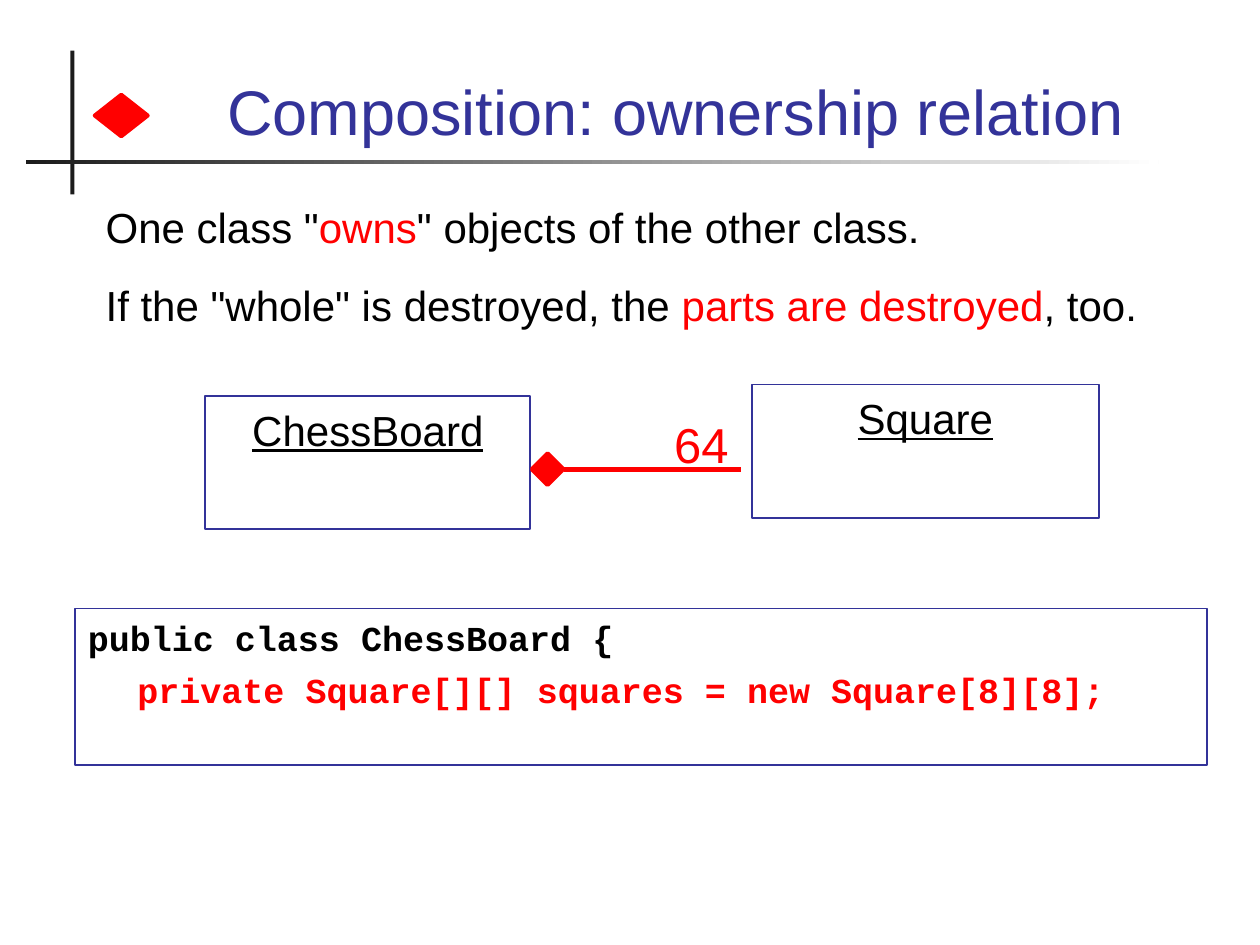
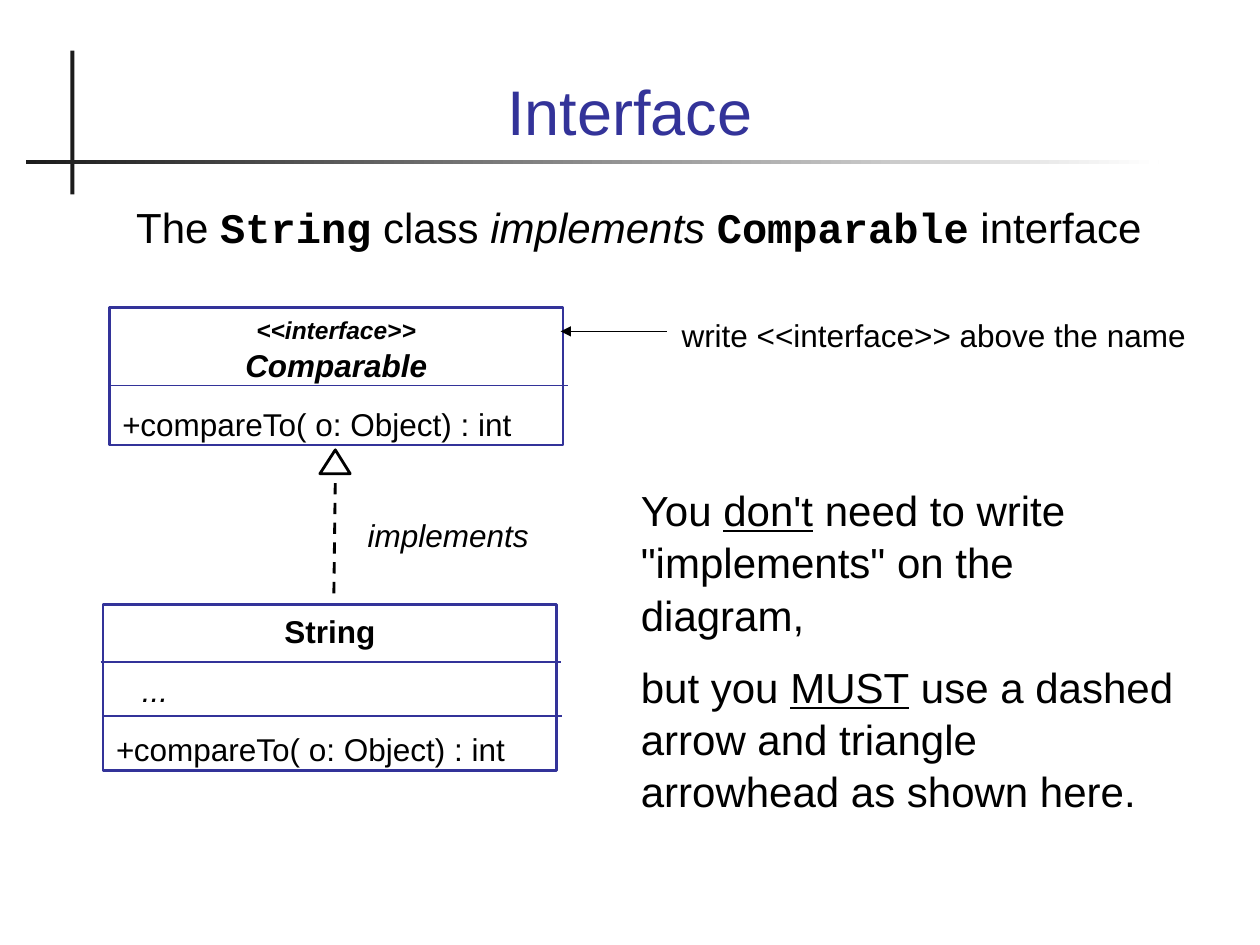
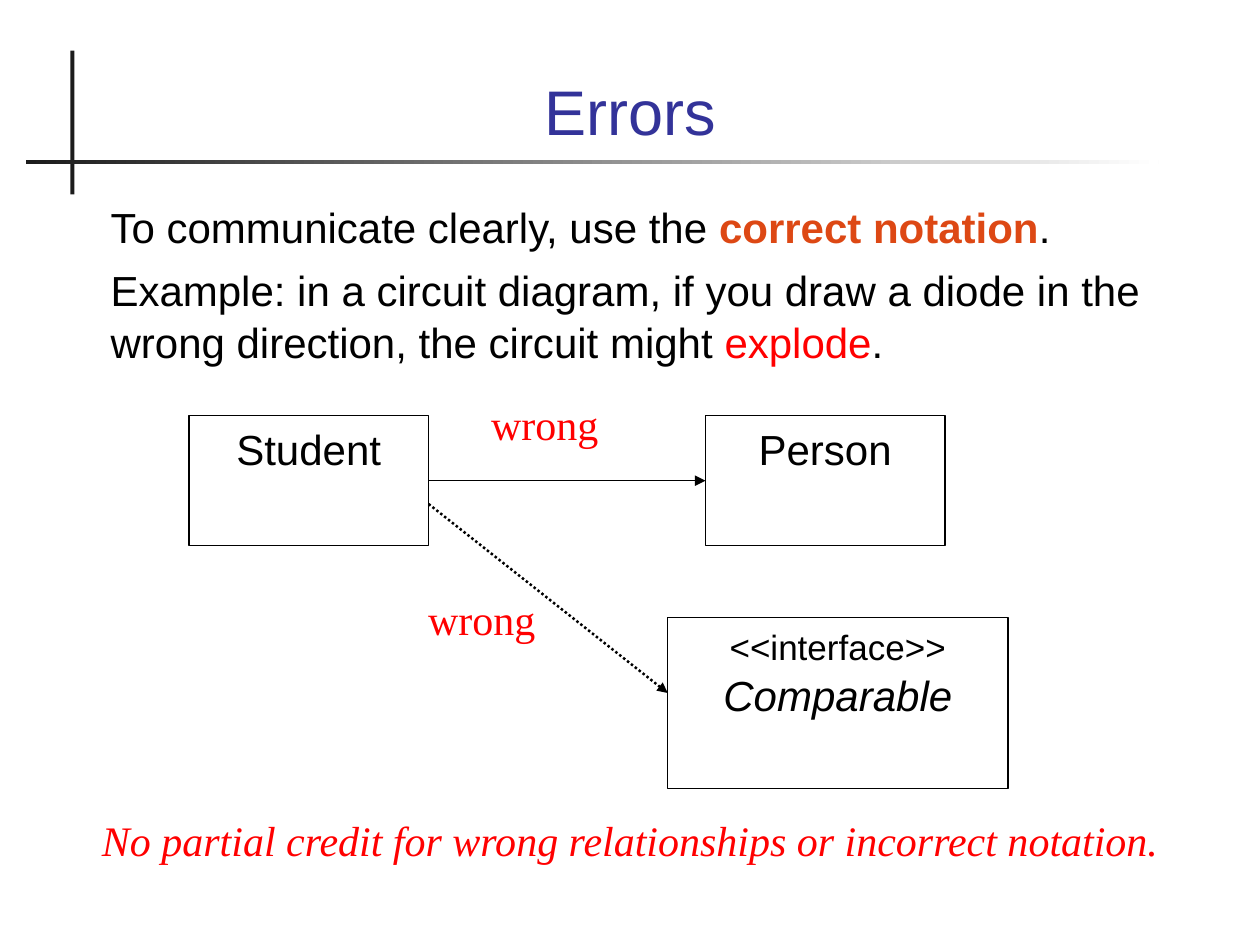
import pptx
import pptx.util
import pptx.dml.color
import pptx.enum.dml
import pptx.enum.shapes
import pptx.enum.text
import pptx.oxml
import pptx.oxml.ns
from pptx.util import Cm

ALIGN = pptx.enum.text.PP_ALIGN
SHAPE = pptx.enum.shapes.MSO_SHAPE
DASH = pptx.enum.dml.MSO_LINE

# Shared style
BLACK, BLUE, RED, ORANGE = "000000", "333399", "FF0000", "DD4814"
BAND_DARK, WHITE = "1C1C1C", "FFFFFF"
SANS, MONO, SERIF = "Arial", "Courier New", "Times New Roman"
LINE_SPACING = 1.04
TITLE_AT = (1.7, 0.71, 22, 2.41)

# Content: a paragraph is a list of spans; a span is text or (text, format)
CODE = dict(font=MONO, bold=True)
UNDERLINE = dict(underline=True)
ITALIC = dict(italic=True)
HOT = dict(color=RED)

OWNERSHIP = [
    ['One class "', ("owns", HOT), '" objects of the other class.'],
    ['If the "whole" is destroyed, the ', ("parts are destroyed", HOT), ", too."],
]
OWNERSHIP_CLASSES = [
    ("ChessBoard", (4.14, 7.98, 6.55, 2.69)),
    ("Square", (15.16, 7.75, 6.99, 2.69)),
]
CHESS_CODE = [
    ["public class ChessBoard {"],
    dict(spans=[("private Square[][] squares = new Square[8][8];", HOT)], indent=1),
]
IMPLEMENTS = [[
    "The ", ("String", CODE), " class ", ("implements ", ITALIC),
    ("Comparable", CODE), " interface",
]]
DIAGRAM_RULE = [
    ["You ", ("don't", UNDERLINE), ' need to write "implements" on the diagram,'],
    ["but you ", ("MUST", UNDERLINE),
     " use a dashed arrow and triangle arrowhead as shown here."],
]
METHOD = "compareTo( o: Object) : int"
BOLD_ITALIC = dict(bold=True, italic=True)
INTERFACE_BOX = [
    dict(spans=[("<<interface>>", dict(size=14, **BOLD_ITALIC))], align=ALIGN.CENTER),
    dict(spans=[("Comparable", BOLD_ITALIC)], align=ALIGN.CENTER, before=0),
    [("+", ITALIC), METHOD],
]
STRING_BOX = [
    dict(spans=[("String", dict(bold=True))], align=ALIGN.CENTER),
    dict(spans=[("...", ITALIC)], indent=0.53),
    [("+", ITALIC), METHOD],
]
# Each class box: text, place, then its dividers as (left, y, right)
CLASS_BOXES = [
    (INTERFACE_BOX, (2.21, 6.2, 9.14, 2.77), [(2.21, 7.77, 11.46)]),
    (STRING_BOX, (2.08, 12.19, 9.14, 3.35), [(2.03, 13.34, 11.3), (2.06, 14.43, 11.33)]),
]
NOTATION = [
    ["To communicate clearly, use the ",
     ("correct notation", dict(color=ORANGE, bold=True)), "."],
    ["Example: in a circuit diagram, if you draw a diode in the wrong direction, "
     "the circuit might ", ("explode", HOT), "."],
]
ERROR_BOXES = [
    ([["Student"]], (3.81, 8.38, 4.83, 2.62)),
    ([["Person"]], (14.22, 8.38, 4.83, 2.62)),
    ([[("<<interface>>", dict(size=20))], [("Comparable", ITALIC)]],
     (13.46, 12.45, 6.86, 3.45)),
]
ERROR_LABELS = [
    ("wrong", (9.65, 7.87, 3.05, 1.45), {}),
    ("wrong", (8.38, 11.79, 3.05, 1.45), {}),
    ("No partial credit for wrong relationships or incorrect notation.",
     (1.02, 16.26, 23.37, 1.45), dict(italic=True, align=ALIGN.CENTER)),
]


def rgb(value):
    return pptx.dml.color.RGBColor.from_string(value)


def add_span(para, text, size=24, font=SANS, color=BLACK, bold=False,
             italic=False, underline=False):
    span = para.add_run()
    span.text = text
    span.font.size = pptx.util.Pt(size)
    span.font.name = font
    span.font.color.rgb = rgb(color)
    span.font.bold, span.font.italic, span.font.underline = bold, italic, underline


def write(box, paragraphs, align=ALIGN.LEFT, before=0.0,
          anchor=pptx.enum.text.MSO_ANCHOR.TOP, **style):
    frame = box.text_frame
    frame.word_wrap = True
    frame.auto_size = pptx.enum.text.MSO_AUTO_SIZE.NONE
    frame.vertical_anchor = anchor
    for index, item in enumerate(paragraphs):
        item = item if isinstance(item, dict) else dict(spans=item)
        para = frame.add_paragraph() if index else frame.paragraphs[0]
        para.alignment = item.get("align", align)
        para.line_spacing = LINE_SPACING
        para.space_before = pptx.util.Pt(item.get("before", before) if index else 0)
        if "indent" in item:
            para._p.get_or_add_pPr().set("marL", str(Cm(item["indent"])))
        for span in item["spans"]:
            text, special = (span, {}) if isinstance(span, str) else span
            add_span(para, text, **{**style, **special})


def add_text(page, paragraphs, at, **style):
    box = page.shapes.add_textbox(*map(Cm, at))
    write(box, paragraphs, **style)
    return box


def add_box(page, at, kind=SHAPE.RECTANGLE, fill=None, line=None, width=1.0):
    box = page.shapes.add_shape(kind, *map(Cm, at))
    box.shadow.inherit = False
    if fill:
        box.fill.solid()
        box.fill.fore_color.rgb = rgb(fill)
    else:
        box.fill.background()
    if line:
        box.line.color.rgb = rgb(line)
        box.line.width = pptx.util.Pt(width)
    else:
        box.line.fill.background()
    return box


def add_line(page, start, end, color=BLACK, width=0.75, dash=None, arrow=False):
    line = page.shapes.add_connector(
        pptx.enum.shapes.MSO_CONNECTOR.STRAIGHT, *map(Cm, (*start, *end)))
    line.line.color.rgb = rgb(color)
    line.line.width = pptx.util.Pt(width)
    if dash:
        line.line.dash_style = dash
    if arrow:
        tail = pptx.oxml.parse_xml(
            '<a:tailEnd %s type="triangle"/>' % pptx.oxml.ns.nsdecls("a"))
        line.line._get_or_add_ln().append(tail)
    line.element.spPr.append(
        pptx.oxml.parse_xml("<a:effectLst %s/>" % pptx.oxml.ns.nsdecls("a")))
    return line


def add_page(deck, title):
    page = deck.slides.add_slide(deck.slide_layouts[5])
    holder = page.shapes.title
    holder.left, holder.top, holder.width, holder.height = map(Cm, TITLE_AT)
    write(holder, [[title]], align=ALIGN.CENTER, size=36, color=BLUE,
          anchor=pptx.enum.text.MSO_ANCHOR.BOTTOM)
    return page


def move_bands_to_layout(page):
    """Draw the crossing bands and hand them to the layout all pages use."""
    upright = add_box(page, (1.42, 1.02, 0.08, 2.9), fill=BAND_DARK)
    rule = add_box(page, (0.53, 3.23, 22.83, 0.08))
    rule.fill.gradient()
    rule.fill.gradient_angle = 0
    for stop, color in zip(rule.fill.gradient_stops, (BAND_DARK, WHITE)):
        stop.color.rgb = rgb(color)
    for band in (upright, rule):
        page.slide_layout.shapes.element.append(band.element)


def build_composition(deck):
    page = add_page(deck, "Composition: ownership relation")
    move_bands_to_layout(page)
    page.shapes.title.width = Cm(22.43)
    page.shapes.title.text_frame.margin_left = Cm(1.66)
    add_text(page, OWNERSHIP, (1.88, 3.89, 22, 3.73), before=15)

    # Class diagram
    for name, at in OWNERSHIP_CLASSES:
        write(add_box(page, at, line=BLUE), [[name]], align=ALIGN.CENTER, underline=True)
    diamonds = [add_box(page, at, SHAPE.DIAMOND, RED, RED, 2.25)
                for at in ((10.72, 9.14, 0.64, 0.64), (1.91, 1.91, 1.07, 0.84))]
    owner_line = add_line(page, (11.36, 9.46), (14.94, 9.46), RED, 3)
    owner_line.begin_connect(diamonds[0], 3)
    add_text(page, [["64"]], (12.83, 8.18, 2.11, 1.45), align=ALIGN.RIGHT,
             size=28, color=RED)

    # Code
    write(add_box(page, (1.52, 12.27, 22.81, 3.15), line=BLUE), CHESS_CODE,
          before=5, size=20, **CODE)


def build_interface(deck):
    page = add_page(deck, "Interface")
    add_text(page, IMPLEMENTS, (1.88, 3.89, 22, 1.47), align=ALIGN.CENTER)

    # Class boxes with their dividers
    for paragraphs, at, dividers in CLASS_BOXES:
        write(add_box(page, at, line=BLUE, width=1.5), paragraphs, before=11.2, size=18)
        for left, y, right in dividers:
            add_line(page, (left, y), (right, y), BLUE, 1)

    # Dashed arrow with a hollow triangle head
    add_line(page, (6.73, 11.96), (6.76, 9.55), width=1.62, dash=DASH.DASH)
    outline = page.shapes.build_freeform(Cm(6.45), Cm(9.55))
    outline.add_line_segments([(Cm(7.06), Cm(9.55)), (Cm(6.76), Cm(9.07))], close=True)
    head = outline.convert_to_shape()
    head.shadow.inherit = False
    head.fill.background()
    head.line.color.rgb = rgb(BLACK)
    head.line.width = pptx.util.Pt(1.62)

    # Remarks
    add_text(page, [["implements"]], (7.16, 10.24, 4, 1.02), size=18, italic=True)
    add_text(page, DIAGRAM_RULE, (12.67, 9.6, 11.46, 6.76), before=11.2)
    add_line(page, (13.44, 6.68), (11.3, 6.68), arrow=True)
    add_text(page, [["write <<interface>> above the name"]],
             (13.49, 6.22, 11.02, 1.02), size=18)


def build_errors(deck):
    page = add_page(deck, "Errors")
    add_text(page, NOTATION, (1.98, 3.89, 22, 4.5), before=6)

    # Class boxes and wrong arrows
    boxes = []
    for paragraphs, at in ERROR_BOXES:
        box = add_box(page, at, line=BLACK, width=0.75)
        write(box, paragraphs, align=ALIGN.CENTER)
        boxes.append(box)
    student, person, _ = boxes
    arrow = add_line(page, (8.64, 9.69), (14.22, 9.69), arrow=True)
    arrow.begin_connect(student, 3)
    arrow.end_connect(person, 1)
    add_line(page, (8.64, 10.16), (13.46, 13.97), width=1.42,
             dash=DASH.ROUND_DOT, arrow=True)

    # Verdicts
    for text, at, style in ERROR_LABELS:
        add_text(page, [[text]], at, font=SERIF, color=RED, **style)


def main():
    deck = pptx.Presentation()
    deck.slide_width, deck.slide_height = Cm(25.4), Cm(19.05)
    build_composition(deck)
    build_interface(deck)
    build_errors(deck)
    deck.save("out.pptx")


if __name__ == "__main__":
    main()
